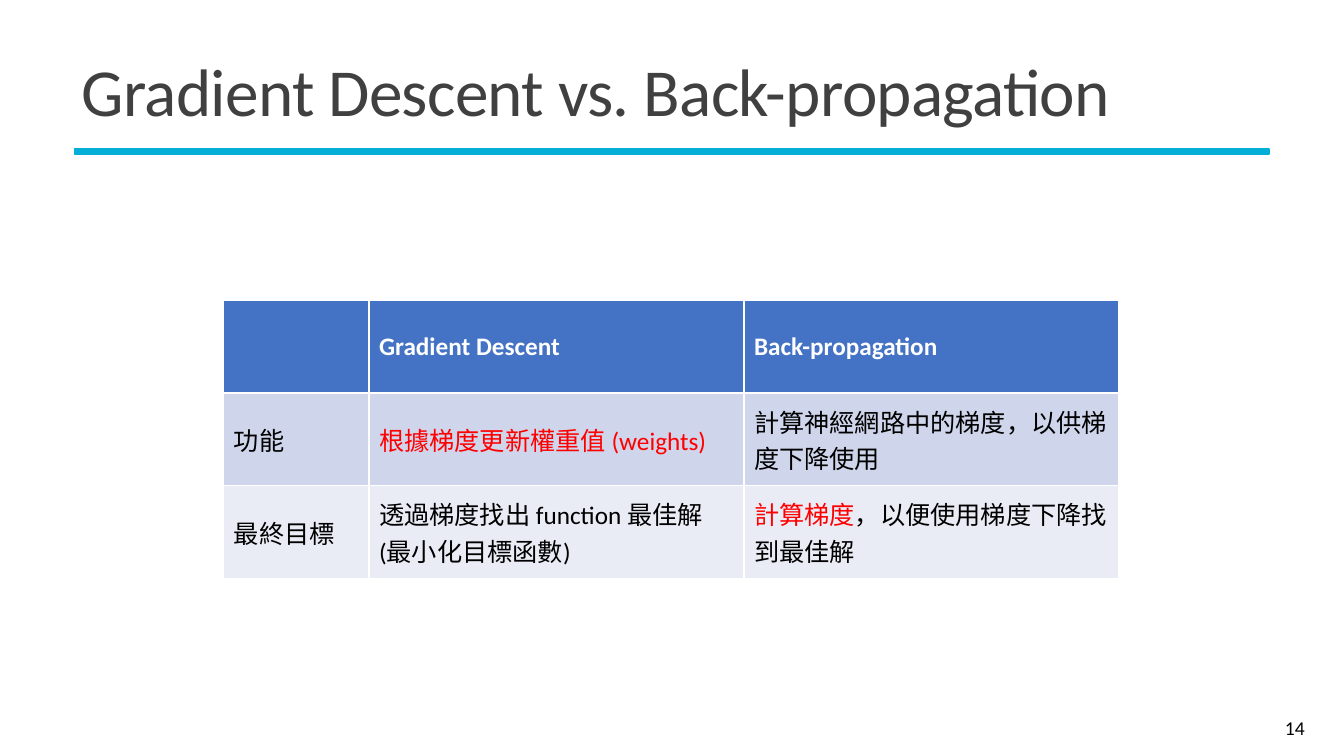
from dataclasses import dataclass

from pptx import Presentation
from pptx import util as u
from pptx.dml.color import RGBColor
from pptx.enum import shapes, text

COLORS = {
    "title": "404040", "accent": "05AED6", "header": "4472C4",
    "odd_row": "CFD5EA", "even_row": "E9EBF5",
    "white": "FFFFFF", "black": "000000", "red": "FF0000",
}


@dataclass(frozen=True)
class Span:
    text: str
    color: str = "black"
    bold: bool = False
    size: float = 18


@dataclass(frozen=True)
class Row:
    fill: str
    cells: tuple[tuple[Span, ...], ...]


ROWS = (
    Row("header", (
        (),
        (Span("Gradient Descent", "white", True),),
        (Span("Back-propagation", "white", True),),
    )),
    Row("odd_row", (
        (Span("功能"),),
        (Span("根據梯度更新權重值 (weights)", "red"),),
        (Span("計算神經網路中的梯度，以供梯度下降使用"),),
    )),
    Row("even_row", (
        (Span("最終目標"),),
        (Span("透過梯度找出 function 最佳解 (最小化目標函數)"),),
        (Span("計算梯度", "red"), Span("，以便使用梯度下降找到最佳解")),
    )),
)
COLUMN_WIDTHS = (1.44, 3.72, 3.72)
ROW_HEIGHT = 0.92


def rgb(name: str) -> RGBColor:
    return RGBColor.from_string(COLORS[name])


def box(left: float, top: float, width: float, height: float) -> tuple[u.Length, ...]:
    return tuple(u.Inches(value) for value in (left, top, width, height))


def add_span(paragraph, span: Span):
    run = paragraph.add_run()
    run.text = span.text
    formats = {"name": "Calibri", "size": u.Pt(span.size), "bold": span.bold}
    for attribute, value in formats.items():
        setattr(run.font, attribute, value)
    run.font.color.rgb = rgb(span.color)
    return run


def add_heading(slide) -> None:
    # Accent rule under the title
    rule = slide.shapes.add_shape(shapes.MSO_SHAPE.RECTANGLE, *box(0.74, 1.48, 11.85, 0.05))
    rule.shadow.inherit = False
    rule.fill.solid()
    rule.fill.fore_color.rgb = rgb("accent")
    rule.line.color.rgb = rgb("accent")
    rule.line.width = u.Pt(1.25)

    # Title
    heading = slide.shapes.title
    heading.left, heading.top, heading.width, heading.height = box(0.71, 0.39, 11.94, 1.13)
    heading.text_frame.vertical_anchor = text.MSO_ANCHOR.MIDDLE
    line = heading.text_frame.paragraphs[0]
    line.alignment = text.PP_ALIGN.LEFT
    line.line_spacing = 0.85
    run = add_span(line, Span("Gradient Descent vs. Back-propagation", "title", size=48))
    run.font._element.set("spc", "-50")


def add_page_number(slide) -> None:
    page_number = slide.shapes.add_textbox(*box(11.61, 7.02, 1.43, 0.4)).text_frame
    page_number.word_wrap = True
    page_number.vertical_anchor = text.MSO_ANCHOR.MIDDLE
    page_number.paragraphs[0].alignment = text.PP_ALIGN.RIGHT
    add_span(page_number.paragraphs[0], Span("14", size=14))


def add_comparison(slide) -> None:
    # The default table style supplies the white borders
    comparison = slide.shapes.add_table(
        len(ROWS), len(COLUMN_WIDTHS),
        *box(2.22, 2.98, sum(COLUMN_WIDTHS), ROW_HEIGHT * len(ROWS))).table
    for column, width in zip(comparison.columns, COLUMN_WIDTHS):
        column.width = u.Inches(width)
    for table_row, row in zip(comparison.rows, ROWS):
        table_row.height = u.Inches(ROW_HEIGHT)
        for cell, spans in zip(table_row.cells, row.cells):
            cell.fill.solid()
            cell.fill.fore_color.rgb = rgb(row.fill)
            cell.vertical_anchor = text.MSO_ANCHOR.MIDDLE
            for span in spans:
                add_span(cell.text_frame.paragraphs[0], span)


def main() -> None:
    deck = Presentation()
    deck.slide_width, deck.slide_height = u.Inches(13.33), u.Inches(7.5)
    slide = deck.slides.add_slide(deck.slide_layouts[5])
    add_heading(slide)
    add_page_number(slide)
    add_comparison(slide)
    deck.save("out.pptx")


if __name__ == "__main__":
    main()
